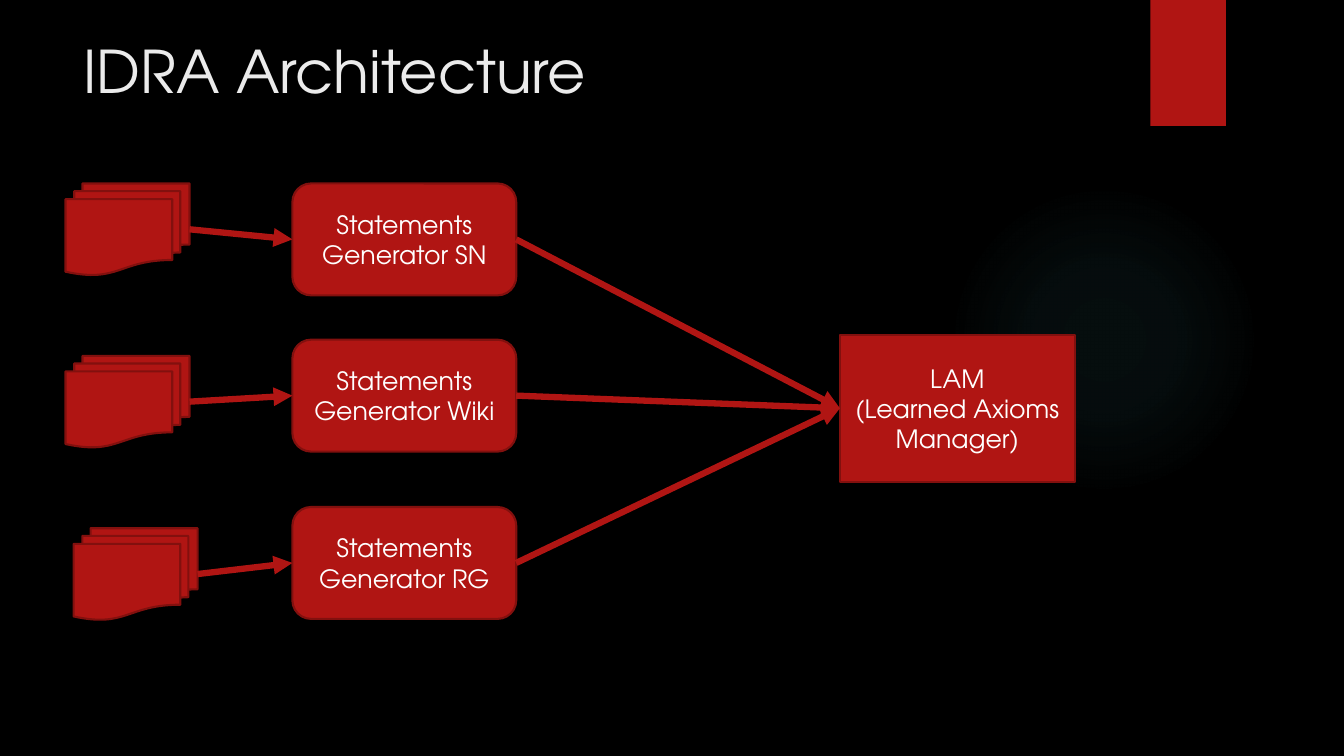
"""Build the IDRA architecture slide."""
from dataclasses import dataclass

from pptx import Presentation
from pptx.dml.color import RGBColor
from pptx.enum.shapes import MSO_CONNECTOR, MSO_SHAPE
from pptx.enum.text import MSO_ANCHOR, PP_ALIGN
from pptx.oxml import parse_xml
from pptx.oxml.ns import nsdecls
from pptx.util import Inches, Pt

TITLE = "IDRA Architecture"
TITLE_AREA = (0.73, 0.29, 10.29, 1.53)
TAB_AREA = (11.41, 0, 0.75, 1.25)
GLOW_AREA = (9.41, 1.83, 3.08, 3.08)
GLOW_STOPS = [(0, 7), (36, 6), (69, 0)]
MANAGER = ["LAM", "(Learned Axioms Manager)"]
MANAGER_AREA = (8.33, 3.32, 2.33, 1.46)
PIPELINES = [
    {"label": "Statements Generator SN", "source": (0.65, 1.82), "top": 1.82},
    {"label": "Statements Generator Wiki", "source": (0.65, 3.53), "top": 3.37},
    {"label": "Statements Generator RG", "source": (0.73, 5.24), "top": 5.03},
]
SOURCE_SIZE = (1.23, 0.91)
GENERATOR_LEFT = 2.9
GENERATOR_SIZE = (2.22, 1.11)
LEFT_SITE, RIGHT_SITE = 1, 3


@dataclass(frozen=True)
class Theme:
    """Colours, font and sizes of the slide."""
    background: str = "000000"
    accent: str = "B01513"
    outline: str = "82100E"
    glow: str = "50B9C1"
    title: str = "EBEBEB"
    label: str = "FFFFFF"
    font: str = "TeX Gyre Adventor"
    title_size: int = 42
    label_size: int = 18
    outline_width: float = 1.5
    arrow_width: float = 4.5


THEME = Theme()


def write_text(shape, lines, *, size, color, align, anchor):
    """Write one paragraph per line into a shape."""
    frame = shape.text_frame
    frame.word_wrap = True
    frame.vertical_anchor = anchor
    for index, line in enumerate(lines):
        para = frame.add_paragraph() if index else frame.paragraphs[0]
        para.alignment = align
        span = para.add_run()
        span.text = line
        span.font.name = THEME.font
        span.font.size = Pt(size)
        span.font.color.rgb = RGBColor.from_string(color)


def add_block(slide, kind, area, *, lines=(), outlined=True):
    """Add a filled shape, with a centred label if there is one."""
    shape = slide.shapes.add_shape(kind, *map(Inches, area))
    shape.shadow.inherit = False
    shape.fill.solid()
    shape.fill.fore_color.rgb = RGBColor.from_string(THEME.accent)
    if outlined:
        shape.line.color.rgb = RGBColor.from_string(THEME.outline)
        shape.line.width = Pt(THEME.outline_width)
    else:
        shape.line.fill.background()
    write_text(shape, lines, size=THEME.label_size, color=THEME.label,
               align=PP_ALIGN.CENTER, anchor=MSO_ANCHOR.MIDDLE)
    return shape


def add_glow(slide):
    """Add the faint circular glow."""
    glow = add_block(slide, MSO_SHAPE.OVAL, GLOW_AREA, outlined=False)
    stops = "".join(
        f'<a:gs pos="{place * 1000}"><a:srgbClr val="{THEME.glow}">'
        f'<a:alpha val="{alpha * 1000}"/></a:srgbClr></a:gs>'
        for place, alpha in GLOW_STOPS)
    gradient = parse_xml(
        f'<a:gradFill {nsdecls("a")} rotWithShape="1"><a:gsLst>{stops}</a:gsLst>'
        '<a:path path="circle"><a:fillToRect l="50000" t="50000" r="50000" b="50000"/>'
        '</a:path></a:gradFill>')
    properties = glow.element.spPr
    properties.replace(properties.find("{*}solidFill"), gradient)


def add_arrow(slide, start, end):
    """Link the right side of one shape to the left side of another."""
    arrow = slide.shapes.add_connector(MSO_CONNECTOR.STRAIGHT, 0, 0, 0, 0)
    arrow.begin_connect(start, RIGHT_SITE)
    arrow.end_connect(end, LEFT_SITE)
    arrow.line.color.rgb = RGBColor.from_string(THEME.accent)
    arrow.line.width = Pt(THEME.arrow_width)
    arrow.line._get_or_add_ln().append(
        parse_xml(f'<a:tailEnd {nsdecls("a")} type="triangle"/>'))
    arrow.element.spPr.append(parse_xml(f'<a:effectLst {nsdecls("a")}/>'))


def main():
    """Build and save the deck."""
    deck = Presentation()
    deck.slide_width, deck.slide_height = Inches(13.33), Inches(7.5)
    slide = deck.slides.add_slide(deck.slide_layouts[5])
    slide.background.fill.solid()
    slide.background.fill.fore_color.rgb = RGBColor.from_string(THEME.background)

    add_glow(slide)
    add_block(slide, MSO_SHAPE.RECTANGLE, TAB_AREA, outlined=False)
    title = slide.shapes.title
    title.left, title.top, title.width, title.height = map(Inches, TITLE_AREA)
    write_text(title, [TITLE], size=THEME.title_size, color=THEME.title,
               align=PP_ALIGN.LEFT, anchor=MSO_ANCHOR.TOP)

    manager = add_block(slide, MSO_SHAPE.FLOWCHART_PROCESS, MANAGER_AREA, lines=MANAGER)
    for pipeline in PIPELINES:
        source = add_block(slide, MSO_SHAPE.FLOWCHART_MULTIDOCUMENT,
                           pipeline["source"] + SOURCE_SIZE)
        generator = add_block(slide, MSO_SHAPE.ROUNDED_RECTANGLE,
                              (GENERATOR_LEFT, pipeline["top"]) + GENERATOR_SIZE,
                              lines=[pipeline["label"]])
        add_arrow(slide, source, generator)
        add_arrow(slide, generator, manager)
    deck.save("out.pptx")


if __name__ == "__main__":
    main()
